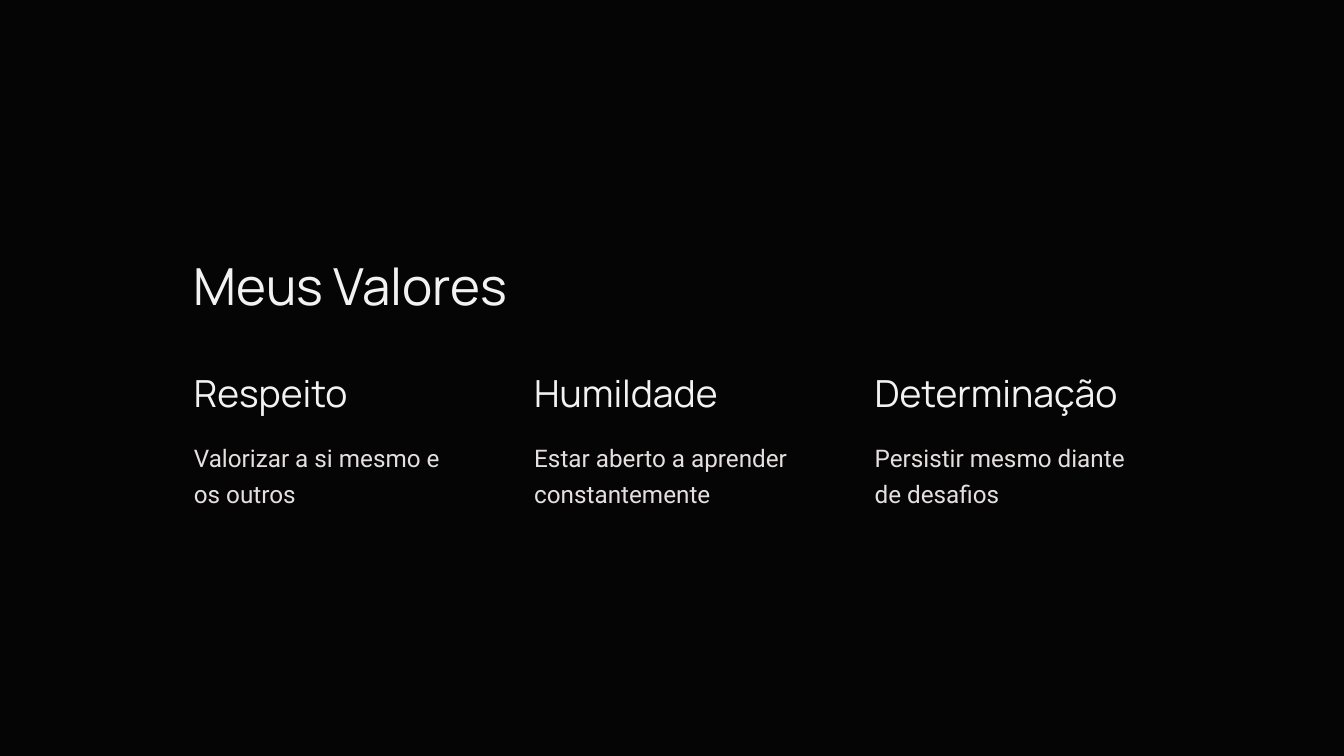
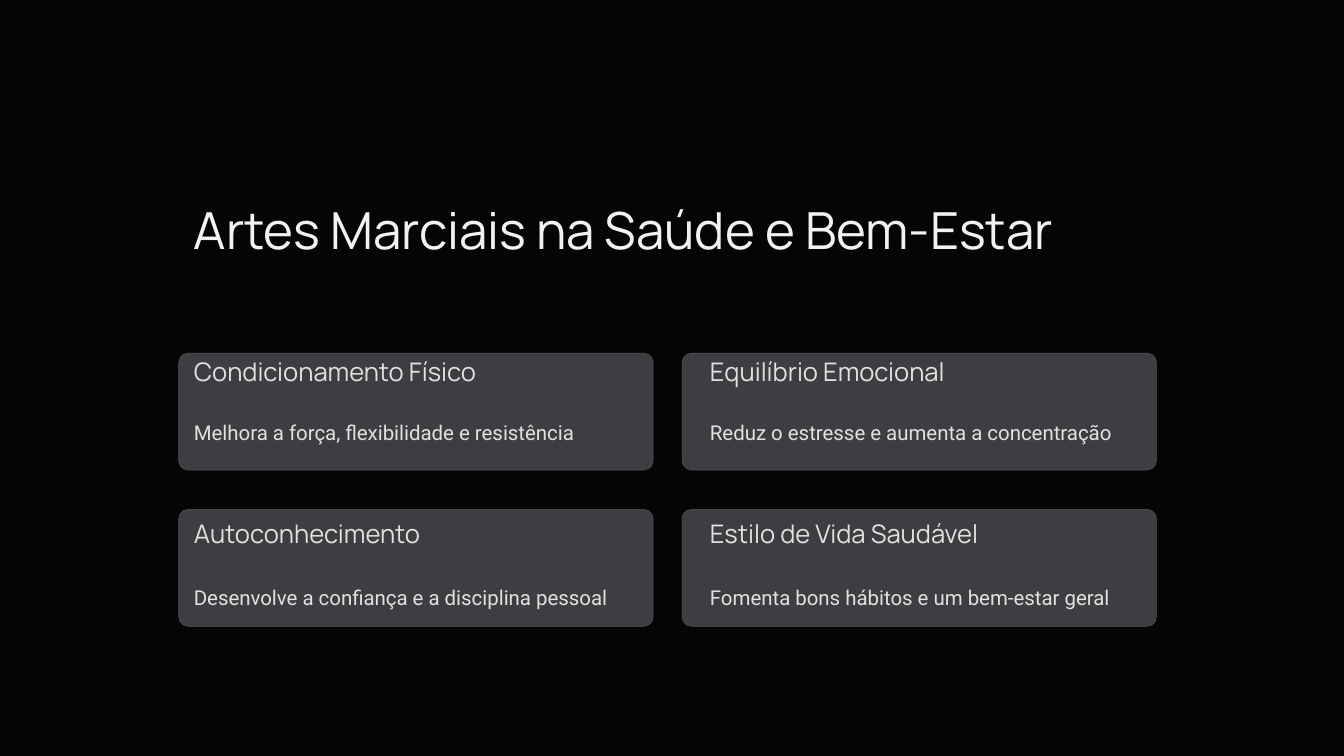
from pptx import Presentation
from pptx.dml.color import RGBColor
from pptx.enum.shapes import MSO_SHAPE
from pptx.enum.text import MSO_AUTO_SIZE
from pptx.util import Inches, Pt

CHARCOAL = RGBColor(0x19, 0x19, 0x1A)
BLACK = RGBColor(0x05, 0x05, 0x05)
WHITE = RGBColor(0xF2, 0xF2, 0xF3)
SAND = RGBColor(0xE5, 0xE0, 0xDF)
CARD = RGBColor(0x3D, 0x3D, 0x42)
CARD_EDGE = RGBColor(0x56, 0x56, 0x5B)

CELL = 0.25  # inches: the slide is 80 columns by 45 rows
COLS, ROWS = 80, 45
MARGIN = 11.54

# font, size, line spacing, colour
STYLES = {
    "title": ("Manrope", 54.65, 68.3, WHITE),
    "value": ("Manrope", 40, 50, WHITE),
    "value_body": ("Roboto", 26, 39, SAND),
    "card": ("Manrope", 27.35, 34.2, SAND),
    "card_body": ("Roboto", 21.85, 32.8, SAND),
}


def grid(*cells):
    return [Inches(c * CELL) for c in cells]


class Deck:
    def __init__(self):
        self.prs = Presentation()
        self.prs.slide_width, self.prs.slide_height = grid(COLS, ROWS)
        self.s = None

    def slide(self, title, row, width):
        """Start a slide with its two dark layers and its title at the given row."""
        self.s = self.prs.slides.add_slide(self.prs.slide_layouts[6])
        for color in (CHARCOAL, BLACK):
            sp = self.shape(MSO_SHAPE.RECTANGLE, color, 0, 0, COLS, ROWS)
            sp.line.fill.background()
        self.text("title", title, MARGIN, row, width, 3.96)

    def shape(self, kind, color, *cells):
        sp = self.s.shapes.add_shape(kind, *grid(*cells))
        sp.shadow.inherit = False
        sp.fill.solid()
        sp.fill.fore_color.rgb = color
        return sp

    def text(self, style, text, col, row, width, height):
        font, size, spacing, color = STYLES[style]
        tf = self.s.shapes.add_textbox(*grid(col, row, width, height)).text_frame
        tf.margin_left = tf.margin_top = tf.margin_right = tf.margin_bottom = 0
        tf.word_wrap = True
        tf.auto_size = MSO_AUTO_SIZE.SHAPE_TO_FIT_TEXT
        p = tf.paragraphs[0]
        p.text = text
        p.line_spacing = Pt(spacing)
        p.font.name = font
        p.font.size = Pt(size)
        p.font.color.rgb = color

    def card(self, *cells):
        sp = self.shape(MSO_SHAPE.ROUNDED_RECTANGLE, CARD, *cells)
        sp.adjustments[0] = 0.08
        sp.line.color.rgb = CARD_EDGE
        sp.line.width = Pt(0.5)


def values_slide(deck):
    deck.slide("Meus Valores", 15.02, 29.56)
    values = [
        ("Respeito", 14.4, "Valorizar a si mesmo e os outros", 16.44),
        ("Humildade", 14.4, "Estar aberto a aprender constantemente", 18.8),
        ("Determinação", 17.16, "Persistir mesmo diante de desafios", 16.44),
    ]
    for i, (name, name_width, body, body_width) in enumerate(values):
        col = MARGIN + 20.26 * i
        deck.text("value", name, col, 21.9, name_width, 2.92)
        deck.text("value_body", body, col, 25.94, body_width, 4.16)


def benefits_slide(deck):
    deck.slide("Artes Marciais na Saúde e Bem-Estar", 11.68, 60.24)
    benefits = [
        ("Condicionamento Físico", 20.72, "Melhora a força, flexibilidade e resistência"),
        ("Equilíbrio Emocional", 17.36, "Reduz o estresse e aumenta a concentração"),
        ("Autoconhecimento", 15.68, "Desenvolve a confiança e a disciplina pessoal"),
        ("Estilo de Vida Saudável", 18.92, "Fomenta bons hábitos e um bem-estar geral"),
    ]
    for i, (name, name_width, body) in enumerate(benefits):
        down, across = divmod(i, 2)
        col = MARGIN + 30.72 * across
        deck.card(10.64 + 29.96 * across, 21.02 + 9.3 * down, 28.24, 6.96)
        deck.text("card", name, col, 21.12 + 9.64 * down, name_width, 2)
        deck.text("card_body", body, col, 24.64 + 9.84 * down, 24.92, 1.72)


def main():
    deck = Deck()
    values_slide(deck)
    benefits_slide(deck)
    deck.prs.save("out.pptx")


if __name__ == "__main__":
    main()
